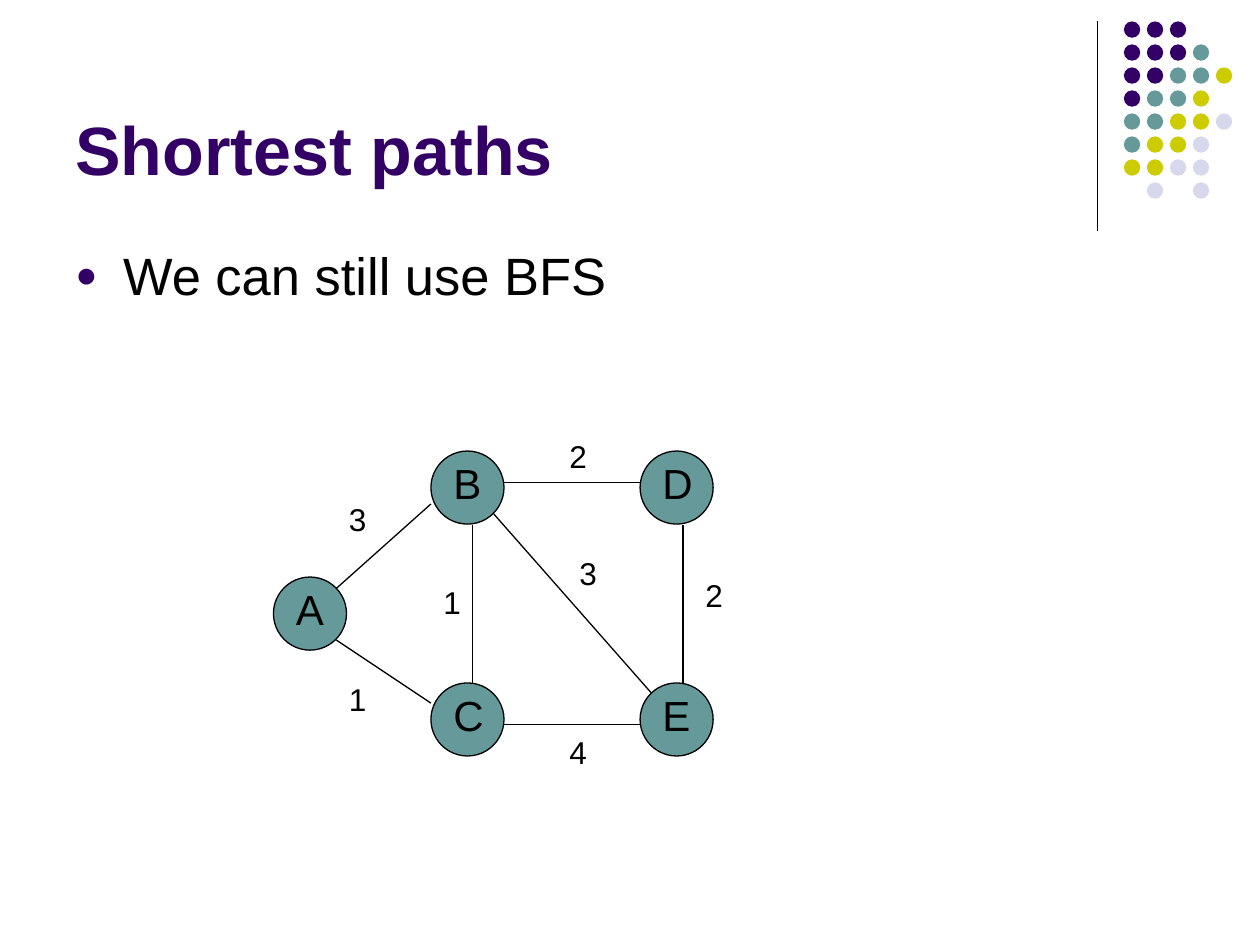
from pptx import Presentation
from pptx.dml.color import RGBColor
from pptx.enum.shapes import MSO_CONNECTOR, MSO_SHAPE
from pptx.enum.text import MSO_ANCHOR
from pptx.util import Inches, Pt
from lxml.etree import SubElement
from pptx.oxml.ns import qn

HUES = {"plum": "330066", "teal": "669999", "lime": "CCCC00",
        "mist": "D8D8EC", "ink": "000000"}
DOTS = ["PPP", "PPPT", "PPTTL", "PTTL", "TTLLM", "TLLM", "LLMM", " M M"]
KEYS = {"P": "plum", "T": "teal", "L": "lime", "M": "mist"}
NODES = {"A": (0, 1.16), "B": (1.25, 0.16), "C": (1.25, 2),
         "E": (2.91, 2), "D": (2.91, 0.16)}
EDGES = [
    ("3", (0.5, 1.25), (1.25, 0.58), (0.5, 0.5)),
    ("1", (0.5, 1.66), (1.25, 2.16), (0.5, 1.93)),
    ("4", (1.83, 2.33), (2.91, 2.33), (2.25, 2.35)),
    ("2", (3.25, 2), (3.25, 0.75), (3.33, 1.1)),
    ("1", (1.58, 2), (1.58, 0.75), (1.25, 1.16)),
    ("2", (1.83, 0.41), (2.91, 0.41), (2.25, 0)),
    ("3", (1.75, 0.66), (3, 2.08), (2.33, 0.93)),
]


def color(name):
    return RGBColor.from_string(HUES[name])


def text(shapes, words, x, y, w, h, size=18, hue="ink", bold=False,
         anchor=MSO_ANCHOR.TOP, bullet=None):
    box = shapes.add_textbox(Inches(x), Inches(y), Inches(w), Inches(h))
    frame = box.text_frame
    frame.word_wrap = True
    frame.vertical_anchor = anchor
    para = frame.paragraphs[0]
    run = para.add_run()
    run.text = words
    run.font.name = "Arial"
    run.font.size = Pt(size)
    run.font.bold = bold
    run.font.color.rgb = color(hue)
    if bullet:
        props = para._p.get_or_add_pPr()
        props.set("marL", str(Inches(0.38)))
        props.set("indent", str(Inches(-0.38)))
        tint = SubElement(props, qn("a:buClr"))
        SubElement(tint, qn("a:srgbClr"), val=HUES[bullet])
        SubElement(props, qn("a:buSzPct"), val="70000")
        SubElement(props, qn("a:buFont"), typeface="Arial")
        SubElement(props, qn("a:buChar"), char="●")


def disc(shapes, x, y, size, hue, edge=None):
    dot = shapes.add_shape(MSO_SHAPE.OVAL, Inches(x), Inches(y),
                           Inches(size), Inches(size))
    dot.shadow.inherit = False
    dot.fill.solid()
    dot.fill.fore_color.rgb = color(hue)
    if edge:
        dot.line.color.rgb = color(edge)
        dot.line.width = Pt(0.74)
    else:
        dot.line.fill.background()


def line(shapes, x1, y1, x2, y2):
    rule = shapes.add_connector(MSO_CONNECTOR.STRAIGHT, Inches(x1),
                                Inches(y1), Inches(x2), Inches(y2))
    rule.line.color.rgb = color("ink")
    rule.line.width = Pt(0.74)
    SubElement(rule._element.spPr, qn("a:effectLst"))


def motif(shapes, x, y):
    line(shapes, x, y, x, y + 1.66)
    group = shapes.add_group_shape().shapes
    step = 0.73 / 4
    for row, marks in enumerate(DOTS):
        for col, mark in enumerate(marks):
            if mark in KEYS:
                disc(group, x + 0.21 + col * step, y + row * step,
                     0.13, KEYS[mark])


def heading(shapes, x, y, w):
    text(shapes, "Shortest paths", x, y, w - 0.75, 1.42, size=39,
         hue="plum", bold=True, anchor=MSO_ANCHOR.BOTTOM)
    text(shapes, "We can still use BFS", x, y + 1.75, w, 0.87, size=30,
         bullet="plum")


def graph(shapes, x, y):
    for name, (dx, dy) in NODES.items():
        group = shapes.add_group_shape().shapes
        disc(group, x + dx, y + dy, 0.58, "teal", edge="ink")
        text(group, name, x + dx + 0.08, y + dy, 0.5, 0.5, size=24)
    for cost, (x1, y1), (x2, y2), (dx, dy) in EDGES:
        line(shapes, x + x1, y + y1, x + x2, y + y2)
        text(shapes, cost, x + dx, y + dy, 0.58, 0.4)


deck = Presentation()
deck.slide_width = Inches(10)
deck.slide_height = Inches(7.5)
slide = deck.slides.add_slide(deck.slide_layouts[6])
motif(slide.shapes, 8.71, 0.17)
heading(slide.shapes, 0.5, 0.13, 9)
graph(slide.shapes, 2.17, 3.42)
deck.save("out.pptx")
